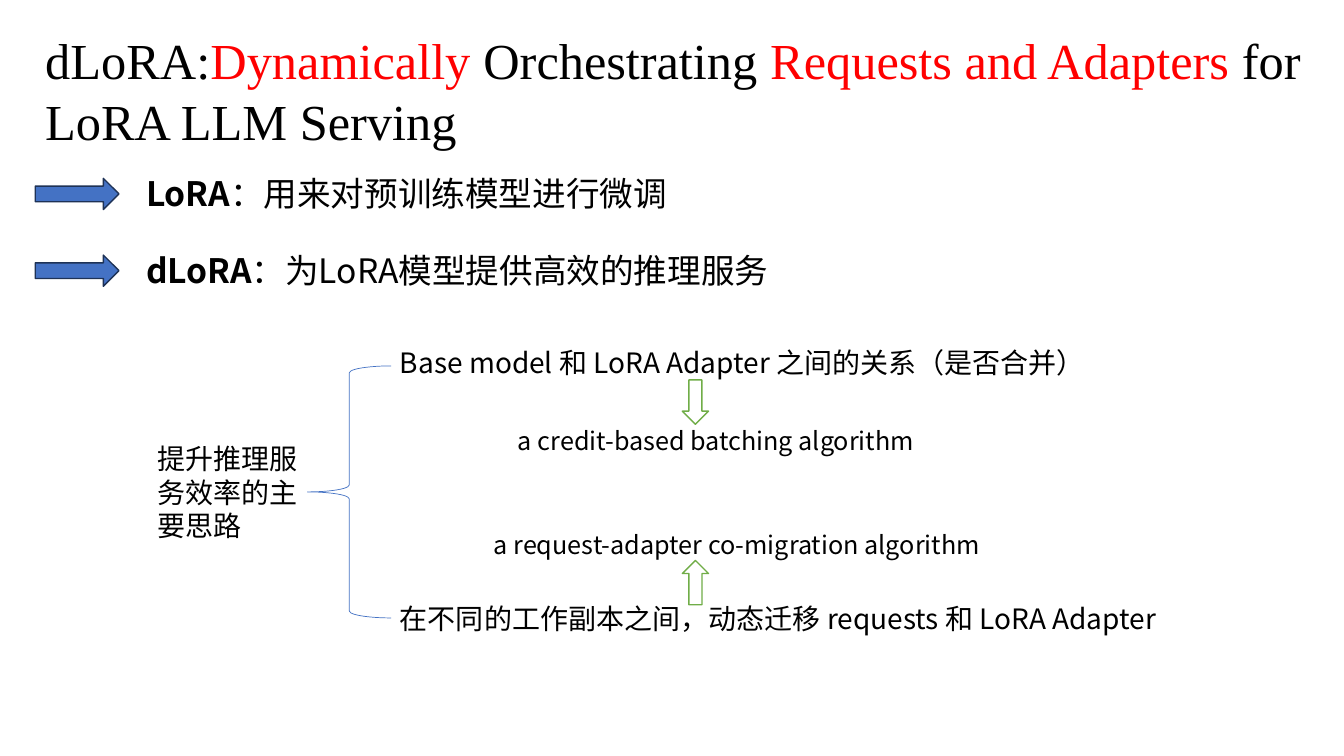
from lxml.etree import SubElement
from pptx import Presentation
from pptx.dml.color import RGBColor
from pptx.enum.shapes import MSO_SHAPE as Preset
from pptx.enum.text import MSO_AUTO_SIZE as AutoSize
from pptx.oxml.ns import qn
from pptx.util import Pt

BLACK = RGBColor(0x00, 0x00, 0x00)
RED = RGBColor(0xFF, 0x00, 0x00)
WHITE = RGBColor(0xFF, 0xFF, 0xFF)
BLUE = RGBColor(0x44, 0x72, 0xC4)
NAVY = RGBColor(0x1E, 0x32, 0x56)
GREEN = RGBColor(0x70, 0xAD, 0x47)

SERIF = "Times New Roman"
SANS = "Noto Sans CJK SC"


class SlideBuilder:
    def __init__(self, slide, font):
        self.shapes = slide.shapes
        self.font = font

    def text(self, box, size, *parts, font=None):
        frame = self.shapes.add_textbox(*map(Pt, box)).text_frame
        for attribute, value in {"word_wrap": True, "auto_size": AutoSize.SHAPE_TO_FIT_TEXT}.items():
            setattr(frame, attribute, value)
        for wording, color, bold in parts:
            run = frame.paragraphs[0].add_run()
            run.text = wording
            face = font or self.font
            for attribute, value in {"size": Pt(size), "name": face, "bold": bold}.items():
                setattr(run.font, attribute, value)
            run.font.color.rgb = color
            SubElement(run.font._element, qn("a:ea"), typeface=face)

    def shape(self, preset, box, line, weight, fill=None, rotation=0):
        shape = self.shapes.add_shape(preset, *map(Pt, box))
        shape.shadow.inherit = False
        shape.rotation = rotation
        if fill is None:
            shape.fill.background()
        else:
            shape.fill.solid()
            shape.fill.fore_color.rgb = fill
        shape.line.color.rgb = line
        shape.line.width = Pt(weight)


def main():
    deck = Presentation()
    for attribute, value in {"slide_width": Pt(960), "slide_height": Pt(540)}.items():
        setattr(deck, attribute, value)
    page = SlideBuilder(deck.slides.add_slide(deck.slide_layouts[6]), SANS)

    page.text(
        (25.2, 17.3, 925.2, 94.3), 36,
        ("dLoRA:", BLACK, False),
        ("Dynamically", RED, False),
        (" Orchestrating ", BLACK, False),
        ("Requests and Adapters ", RED, False),
        ("for LoRA LLM Serving", BLACK, False),
        font=SERIF,
    )

    definitions = [
        ("LoRA", "：用来对预训练模型进行微调"),
        ("dLoRA", "：为LoRA模型提供高效的推理服务"),
    ]
    for row, (term, meaning) in enumerate(definitions):
        top = 120.2 + 54.8 * row
        page.text((97.2, top, 522, 36), 24, (term, BLACK, True), (meaning, BLACK, False))
        page.shape(Preset.RIGHT_ARROW, (25.2, top + 7.2, 59.8, 22.3), NAVY, 1, BLUE)

    page.shape(Preset.LEFT_BRACE, (219.6, 261.4, 59.8, 180), BLUE, 0.5)

    statements = [
        ((105.1, 311.8, 114.5, 79.9), 20, "提升推理服务效率的主要思路"),
        ((278.6, 243.4, 522, 31.7), 20, "Base model 和 LoRA Adapter 之间的关系（是否合并）"),
        ((278.6, 426.2, 564.5, 31.7), 20, "在不同的工作副本之间，动态迁移 requests 和 LoRA Adapter"),
        ((362.9, 300.2, 480.2, 28.8), 18, "a credit-based batching algorithm"),
        ((345.6, 374.4, 480.2, 28.8), 18, "a request-adapter co-migration algorithm"),
    ]
    for box, size, wording in statements:
        page.text(box, size, (wording, BLACK, False))

    for top, rotation in ((271.4, 0), (400.3, 180)):
        page.shape(Preset.DOWN_ARROW, (487.4, top, 18.7, 31.7), GREEN, 1, WHITE, rotation)

    deck.save("out.pptx")


if __name__ == "__main__":
    main()
